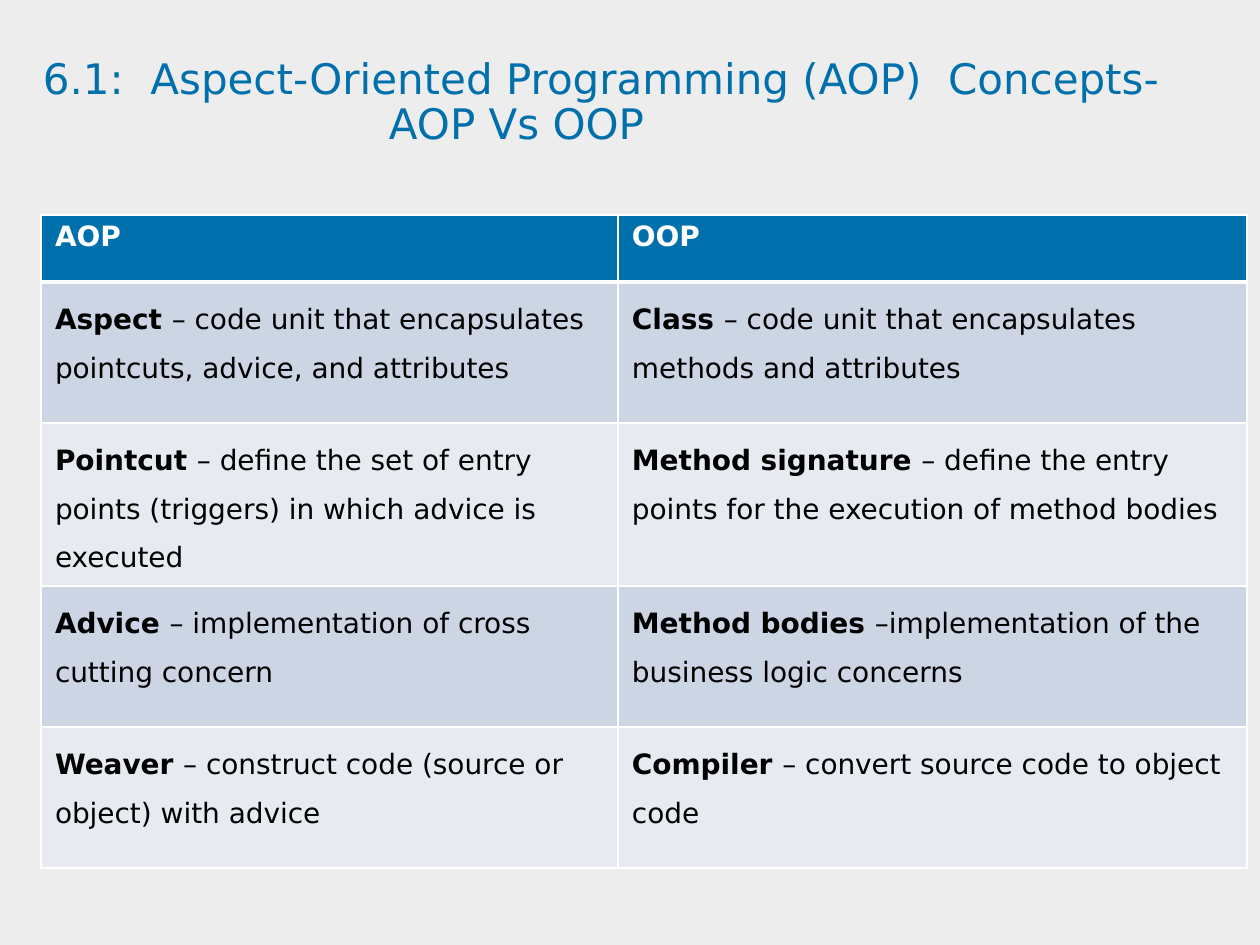
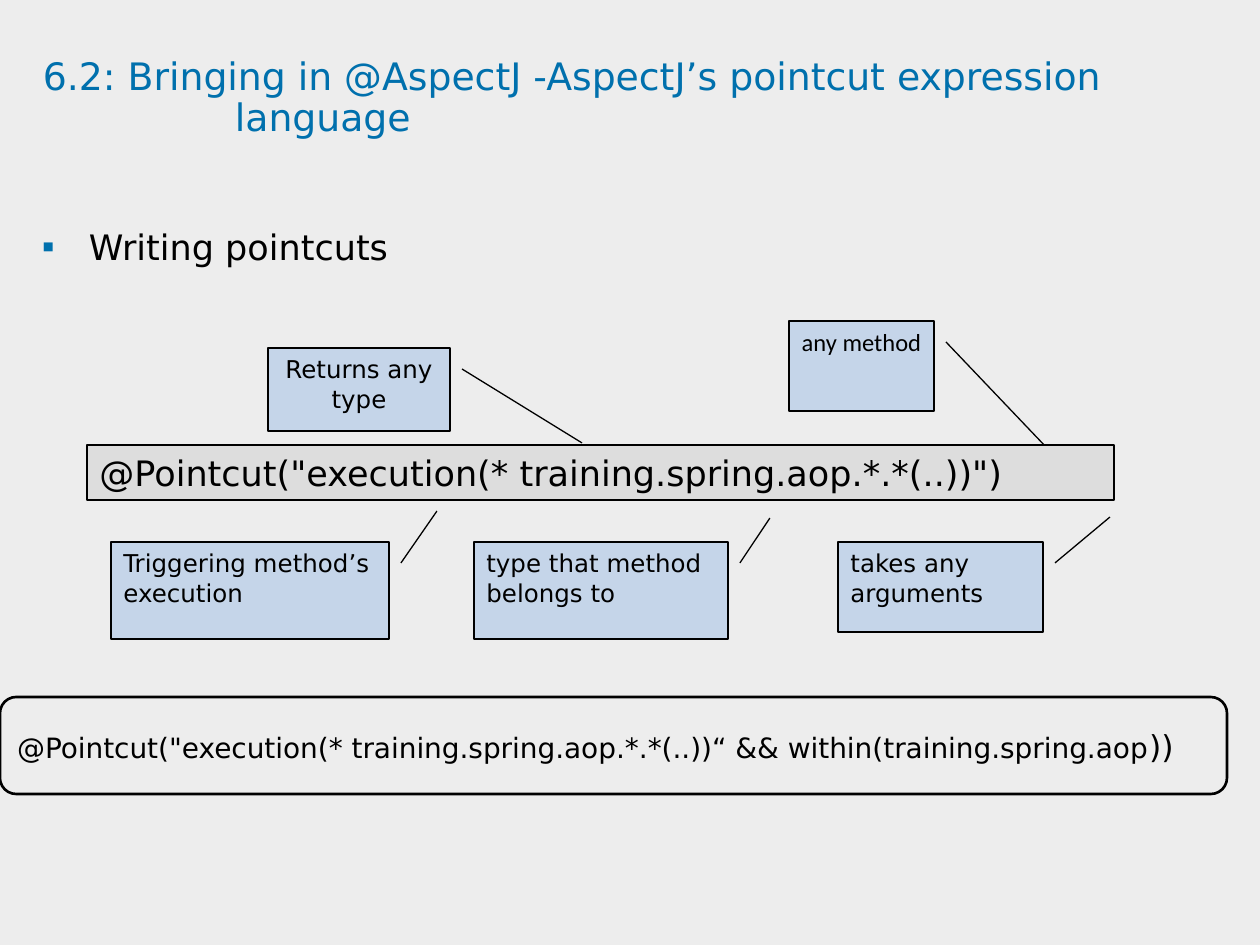
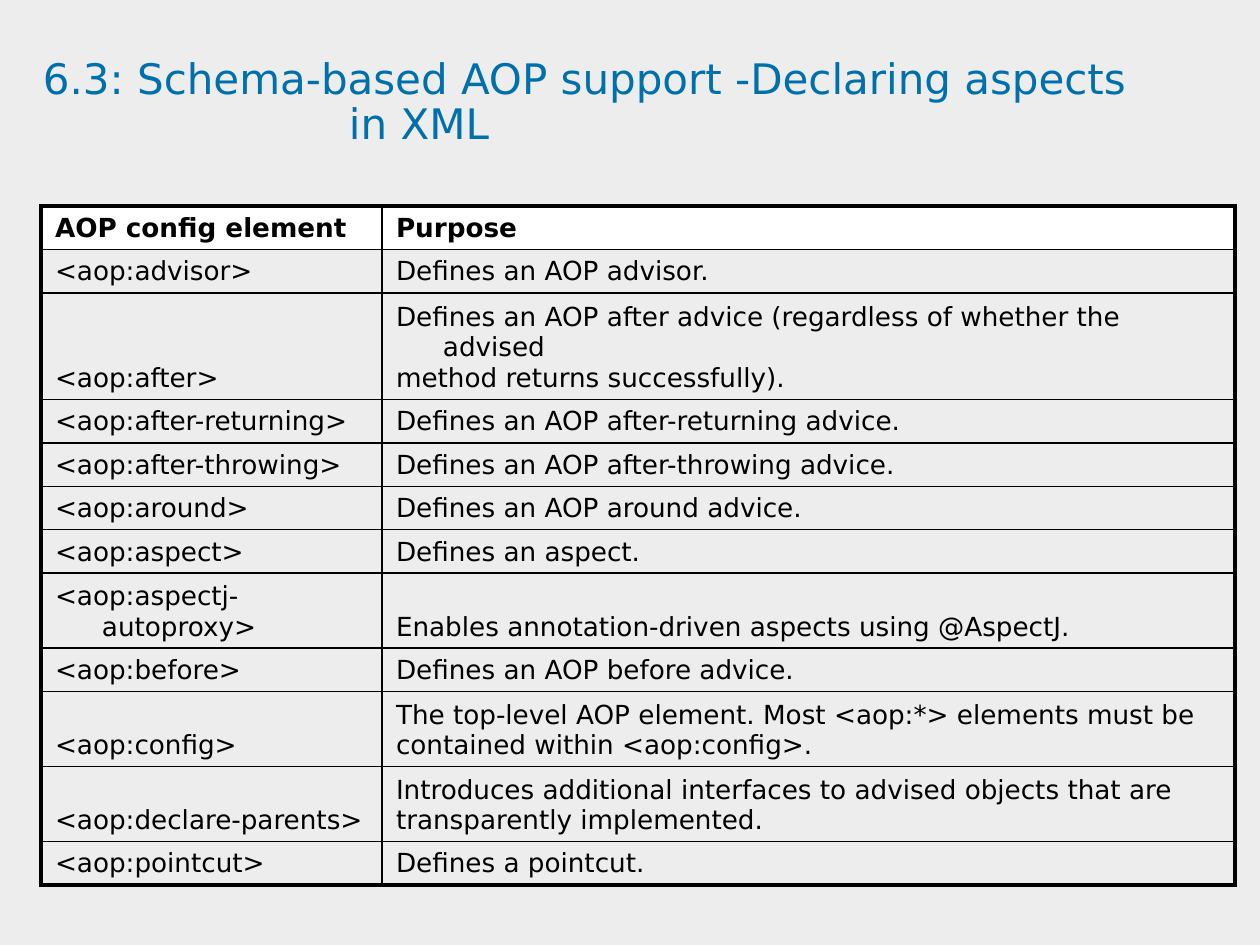
from pptx import Presentation
from pptx.dml.color import RGBColor
from pptx.enum.shapes import MSO_SHAPE
from pptx.enum.text import MSO_ANCHOR, PP_ALIGN
from pptx.oxml.ns import qn
from pptx.util import Pt
from lxml import etree

PX = 914400 / 126
FONT = "DejaVu Sans"
BLACK = RGBColor(0x00, 0x00, 0x00)
WHITE = RGBColor(0xFF, 0xFF, 0xFF)
PAPER = RGBColor(0xED, 0xED, 0xED)
BLUE = RGBColor(0x00, 0x70, 0xAD)
DARK = RGBColor(0xCC, 0xD5, 0xE3)
LIGHT = RGBColor(0xE7, 0xEB, 0xF1)
NOTE = RGBColor(0xC5, 0xD5, 0xE9)
GREY = RGBColor(0xDD, 0xDD, 0xDD)
RECT = MSO_SHAPE.RECTANGLE
ROUND = MSO_SHAPE.ROUNDED_RECTANGLE
CALL = MSO_SHAPE.LINE_CALLOUT_1
TOP, MID, LOW = MSO_ANCHOR.TOP, MSO_ANCHOR.MIDDLE, MSO_ANCHOR.BOTTOM
LEFT, CENTER = PP_ALIGN.LEFT, PP_ALIGN.CENTER


def write(frame, paras, size=16, font=FONT, color=BLACK, bold=False,
          align=LEFT, space=None, hang=0, mark=None):
    """Fill a frame; a paragraph is a string or a list of (text, size, bold)."""
    frame.word_wrap = True
    for i, runs in enumerate(paras):
        para = frame.paragraphs[0] if i == 0 else frame.add_paragraph()
        para.alignment = align
        if space:
            para.line_spacing = space
        props = para._p.get_or_add_pPr()
        if hang:
            props.set("marL", str(int(hang * PX)))
            props.set("indent", str(int(-hang * PX)))
        if mark:
            tint = etree.SubElement(props, qn("a:buClr"))
            etree.SubElement(tint, qn("a:srgbClr")).set("val", str(BLUE))
            etree.SubElement(props, qn("a:buFont")).set("typeface", "Calibri")
            etree.SubElement(props, qn("a:buChar")).set("char", mark)
        if isinstance(runs, str):
            runs = [(runs, size, bold)]
        for words, points, heavy in runs:
            run = para.add_run()
            run.text = words
            run.font.size = Pt(points)
            run.font.bold = heavy
            run.font.name = font
            run.font.color.rgb = color


def grid(slide, x, y, cols, rows):
    """Add a plain table with the given column widths and row heights."""
    box = [int(n * PX) for n in (x, y, sum(cols), sum(rows))]
    table = slide.shapes.add_table(len(rows), len(cols), *box).table
    table.first_row = table.horz_banding = False
    for col, width in zip(table.columns, cols):
        col.width = int(width * PX)
    for row, height in zip(table.rows, rows):
        row.height = int(height * PX)
    for cell in table.iter_cells():
        cell.margin_left = cell.margin_right = int(14 * PX)
        cell.margin_top = cell.margin_bottom = int(6 * PX)
    return table


deck = Presentation()
deck.slide_width, deck.slide_height = int(1260 * PX), int(945 * PX)

# Slides with paper and title: first line, second line, its indent, size, height
TITLES = [
    ("6.1:  Aspect-Oriented Programming (AOP)  Concepts-", "AOP Vs OOP", 346, 24, 132),
    ("6.2: Bringing in @AspectJ -AspectJ’s pointcut expression", "language", 192, 21.6, 89),
    ("6.3: Schema-based AOP support -Declaring aspects", "in XML", 306, 24, 137),
]
slides = []
for one, two, shift, size, height in TITLES:
    slide = deck.slides.add_slide(deck.slide_layouts[6])
    paper = slide.shapes.add_shape(RECT, 0, 0, deck.slide_width, deck.slide_height)
    paper.shadow.inherit = False
    paper.fill.solid()
    paper.fill.fore_color.rgb = PAPER
    paper.line.fill.background()
    box = [int(n * PX) for n in (43, 58, 1145, height)]
    frame = slide.shapes.add_textbox(*box).text_frame
    frame.margin_left = frame.margin_right = frame.margin_top = frame.margin_bottom = 0
    write(frame, [one, two], size=size, color=BLUE, space=0.9)
    frame.paragraphs[1]._p.get_or_add_pPr().set("marL", str(int(shift * PX)))
    slides.append(slide)
versus, point, schema = slides

# Slide 1: AOP and OOP side by side
PAIRS = [
    (("Aspect ", "– code unit that encapsulates pointcuts, advice, and attributes"),
     ("Class ", "– code unit that encapsulates methods and attributes")),
    (("Pointcut ", "– define the set of entry points (triggers) in which advice is executed"),
     ("Method signature ", "– define the entry points for the execution of method bodies")),
    (("Advice ", "– implementation of cross cutting concern"),
     ("Method bodies ", "–implementation of the business logic concerns")),
    (("Weaver ", "– construct code (source or object) with advice"),
     ("Compiler ", "– convert source code to object code")),
]
duel = grid(versus, 41, 215, [577, 629], [67, 141, 158, 141, 141])
for c, head in enumerate(("AOP", "OOP")):
    write(duel.cell(0, c).text_frame, [head], color=WHITE, bold=True)
for r, pair in enumerate(PAIRS, 1):
    for c, (term, gloss) in enumerate(pair):
        write(duel.cell(r, c).text_frame, [[(term, 16, True), (gloss, 16, False)]], space=1.5)

# Slide 2: bullet
box = [int(n * PX) for n in (42, 205, 1165, 491)]
frame = point.shapes.add_textbox(*box).text_frame
frame.margin_left = frame.margin_right = frame.margin_bottom = 0
frame.margin_top = int(38 * PX)
write(frame, ["Writing pointcuts"], size=20, space=Pt(16.5), hang=47, mark="▪")

# Slide 2: callouts and code boxes, from back to front
# kind, box, fill, line width, anchor, callout tip, text, format
CODE = '@Pointcut("execution(* training.spring.aop.*.*(..))'
PARTS = [
    (CALL, (789, 321, 145, 90), NOTE, 0.75, TOP, (1066, 468), "any method",
     {"size": 14, "font": "Calibri", "align": CENTER}),
    (RECT, (87, 445, 1027, 55), GREY, 1.5, TOP, None, CODE + '")', {"size": 20}),
    (CALL, (268, 348, 182, 83), NOTE, 0.75, TOP, (582, 443), "Returns any type",
     {"size": 14, "align": CENTER}),
    (CALL, (474, 542, 254, 97), NOTE, 0.75, TOP, (770, 518),
     "type that method belongs to", {"size": 14}),
    (CALL, (838, 542, 205, 90), NOTE, 0.75, TOP, (1110, 517),
     "takes any arguments", {"size": 14}),
    (CALL, (111, 542, 278, 97), NOTE, 0.75, TOP, (437, 511),
     "Triggering method’s execution", {"size": 14}),
    (ROUND, (0, 697, 1227, 97), None, 1.5, MID, None,
     [(CODE + "“ && within(training.spring.aop", 16, False), ("))", 18, False)], {}),
]
for kind, (x, y, w, h), fill, line, anchor, tip, words, form in PARTS:
    shape = point.shapes.add_shape(kind, *[int(n * PX) for n in (x, y, w, h)])
    shape.shadow.inherit = False
    if fill:
        shape.fill.solid()
        shape.fill.fore_color.rgb = fill
    else:
        shape.fill.background()
    shape.line.color.rgb = BLACK
    shape.line.width = Pt(line)
    if tip:
        ends = (21 / h, 1 + 12 / w, (tip[1] - y) / h, (tip[0] - x) / w)
        for i, end in enumerate(ends):
            shape.adjustments[i] = end
    shape.text_frame.vertical_anchor = anchor
    write(shape.text_frame, [words], **form)

# Slide 3: configuration elements, with row heights
ROWS = [
    (43, "AOP config element", ["Purpose"]),
    (43, "<aop:advisor>", ["Defines an AOP advisor."]),
    (104, "<aop:after>", ["Defines an AOP after advice (regardless of whether the advised",
                          "method returns successfully)."]),
    (43, "<aop:after-returning>", ["Defines an AOP after-returning advice."]),
    (43, "<aop:after-throwing>", ["Defines an AOP after-throwing advice."]),
    (43, "<aop:around>", ["Defines an AOP around advice."]),
    (43, "<aop:aspect>", ["Defines an aspect."]),
    (74, "<aop:aspectj-autoproxy>", ["Enables annotation-driven aspects using @AspectJ."]),
    (43, "<aop:before>", ["Defines an AOP before advice."]),
    (74, "<aop:config>", ["The top-level AOP element. Most <aop:*> elements must be",
                          "contained within <aop:config>."]),
    (74, "<aop:declare-parents>", ["Introduces additional interfaces to advised objects that are",
                                   "transparently implemented."]),
    (43, "<aop:pointcut>", ["Defines a pointcut."]),
]
tags = grid(schema, 41, 206, [341, 853], [row[0] for row in ROWS])
for r, (_, tag, use) in enumerate(ROWS):
    for c, paras in enumerate(([tag], use)):
        cell = tags.cell(r, c)
        cell.vertical_anchor = LOW
        write(cell.text_frame, paras, size=15, bold=r == 0, hang=47)

# Borders and fills of both tables
for table, ink in ((duel, WHITE), (tags, BLACK)):
    last = len(table.rows) - 1
    for r in range(last + 1):
        for c in range(2):
            cell = table.cell(r, c)
            if table is duel:
                wide = {"L": 1, "R": 1, "T": 3 if r == 1 else 1, "B": 3 if r == 0 else 1}
                fill = BLUE if r == 0 else DARK if r % 2 else LIGHT
            else:
                outer = {"L": c == 0, "R": c == 1, "T": r == 0, "B": r == last}
                wide = {side: 2.25 if out else 1 for side, out in outer.items()}
                fill = WHITE if r == 0 else None
            props = cell._tc.get_or_add_tcPr()
            for side, points in wide.items():
                edge = etree.SubElement(props, qn("a:ln" + side))
                edge.set("w", str(Pt(points)))
                solid = etree.SubElement(edge, qn("a:solidFill"))
                etree.SubElement(solid, qn("a:srgbClr")).set("val", str(ink))
            if fill:
                cell.fill.solid()
                cell.fill.fore_color.rgb = fill
            else:
                cell.fill.background()

deck.save("out.pptx")
